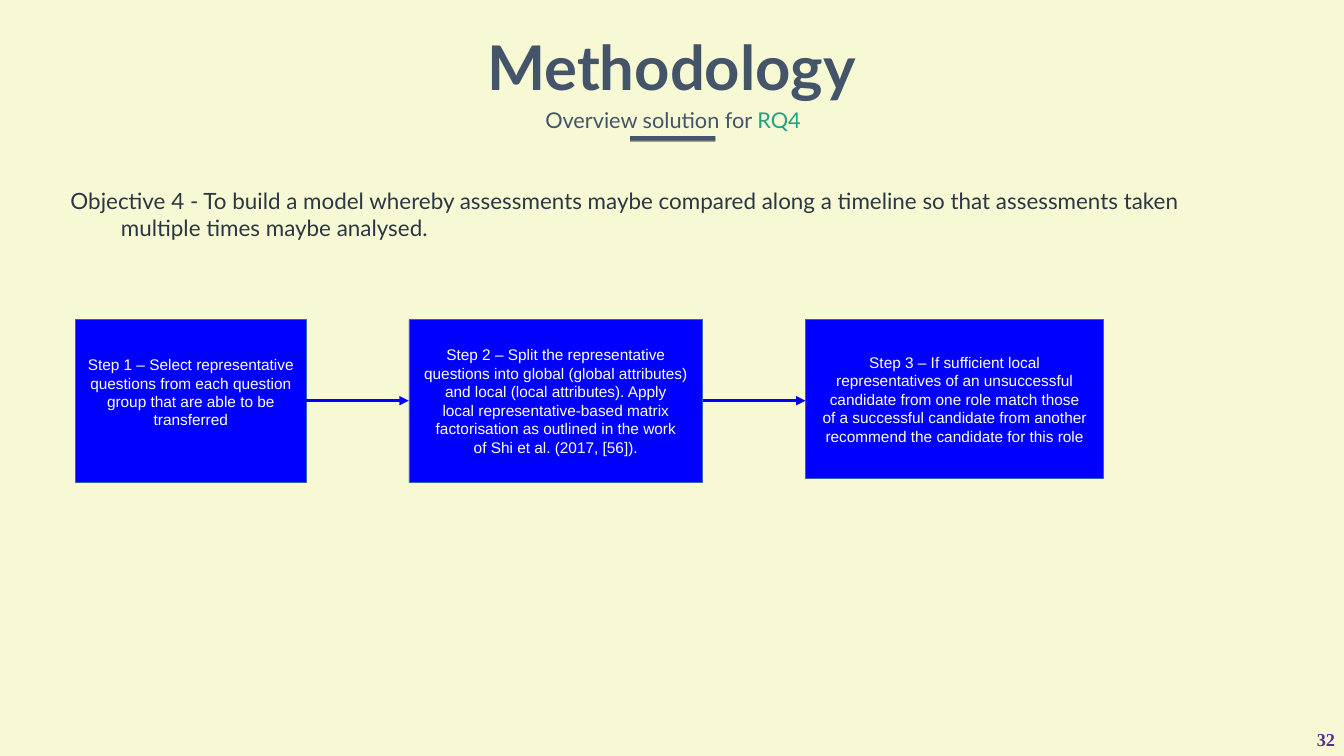
from dataclasses import dataclass

from lxml.etree import SubElement
from pptx import Presentation
from pptx.dml.color import RGBColor as RGB
from pptx.enum.shapes import MSO_CONNECTOR as CONN, MSO_SHAPE as SHAPE
from pptx.enum.text import MSO_ANCHOR as ANCHOR, PP_ALIGN as ALIGN
from pptx.oxml.ns import qn
from pptx.util import Inches, Pt


@dataclass(frozen=True)
class Theme:
    paper: str = "F6F9D4"
    slate: str = "445469"
    ink: str = "2C3645"
    green: str = "1EA185"
    purple: str = "55308D"
    blue: str = "0000FF"
    outline: str = "3465A4"
    white: str = "FFFFFF"
    sans: str = "Lato"
    box_font: str = "Arial"
    serif: str = "Times New Roman"
    title: int = 88
    subtitle: int = 31
    body: int = 32
    step: int = 22
    number: int = 26


class Deck:
    def __init__(self, theme, width, height):
        self.t = theme
        self.prs = Presentation()
        self.prs.slide_width, self.prs.slide_height = Inches(width), Inches(height)
        self.s = self.prs.slides.add_slide(self.prs.slide_layouts[6])
        fill = self.s.background.fill
        fill.solid()
        fill.fore_color.rgb = RGB.from_string(theme.paper)

    def style(self, p, size, font, color, bold=False, align=ALIGN.LEFT):
        p.alignment = align
        p.font.size, p.font.name, p.font.bold = Pt(size), font, bold
        p.font.color.rgb = RGB.from_string(color)

    def text(self, box, runs, size, font, color, **look):
        """Add a one-paragraph text box; runs are (text, colour or None)."""
        sp = self.s.shapes.add_textbox(*map(Inches, box))
        tf = sp.text_frame
        tf.word_wrap = True
        p = tf.paragraphs[0]
        self.style(p, size, font, color, **look)
        for words, accent in runs:
            r = p.add_run()
            r.text = words
            if accent:
                r.font.color.rgb = RGB.from_string(accent)
        return tf

    def rect(self, box, fill, line=None):
        sp = self.s.shapes.add_shape(SHAPE.RECTANGLE, *map(Inches, box))
        sp.shadow.inherit = False
        sp.fill.solid()
        sp.fill.fore_color.rgb = RGB.from_string(fill)
        if line:
            sp.line.color.rgb = RGB.from_string(line)
            sp.line.width = Pt(0.75)
        else:
            sp.line.fill.background()
        return sp

    def rule(self, box):
        """Add a bar with a soft shadow below it."""
        sp = self.rect(box, self.t.slate)
        effects = sp._element.spPr.find(qn("a:effectLst"))
        shadow = SubElement(effects, qn("a:outerShdw"), dist=str(Pt(1.8)), dir="5400000")
        black = SubElement(shadow, qn("a:srgbClr"), val="000000")
        SubElement(black, qn("a:alpha"), val="35000")

    def step(self, box, words, bottom):
        sp = self.rect(box, self.t.blue, self.t.outline)
        tf = sp.text_frame
        tf.word_wrap = False
        tf.vertical_anchor = ANCHOR.MIDDLE
        tf.margin_bottom = Inches(bottom)
        tf.text = words
        for p in tf.paragraphs:
            self.style(p, self.t.step, self.t.box_font, self.t.white, align=ALIGN.CENTER)
        return sp

    def arrow(self, x1, x2, y):
        c = self.s.shapes.add_connector(CONN.STRAIGHT, *map(Inches, (x1, y, x2, y)))
        c.line.color.rgb = RGB.from_string(self.t.blue)
        c.line.width = Pt(4.5)
        SubElement(c.line._get_or_add_ln(), qn("a:tailEnd"), type="triangle")
        SubElement(c._element.spPr, qn("a:effectLst"))


# (left, width, height, bottom inset, words)
STEPS = [
    (1.5, 4.57, 3.23, 0.4,
     "Step 1 – Select representative\vquestions from each question\n"
     "group that are able to be\ntransferred"),
    (8.11, 5.83, 3.23, 0.05,
     "Step 2 – Split the representative\vquestions into global (global attributes)\n"
     "and local (local attributes). Apply\nlocal representative-based matrix\n"
     "factorisation as outlined in the work\nof Shi et al. (2017, [56])."),
    (15.98, 5.91, 3.15, 0.05,
     "Step 3 – If sufficient local\nrepresentatives of an unsuccessful\n"
     "candidate from one role match those\nof a successful candidate from another\n"
     "recommend the candidate for this role"),
]
STEP_TOP, ARROW_Y = 6.34, 7.95


def main():
    t = Theme()
    deck = Deck(t, 26.66, 15)

    # Page number
    deck.text((24.74, 14.41, 1.84, 0.5), [("32", None)], t.number, t.serif, t.purple,
              bold=True, align=ALIGN.RIGHT)

    # Heading
    deck.text((1.87, 0.53, 22.9, 1.56), [("Methodology", None)], t.title, t.sans, t.slate,
              bold=True, align=ALIGN.CENTER)
    deck.rule((12.5, 2.7, 1.69, 0.09))
    tf = deck.text((6.98, 1.89, 12.74, 0.91),
                   [("Overview solution for ", None), ("RQ4", t.green)],
                   t.subtitle, t.sans, t.slate, align=ALIGN.CENTER)
    tf.margin_left = tf.margin_right = Inches(0.24)
    tf.margin_top = tf.margin_bottom = Inches(0.12)
    p = tf.paragraphs[0]
    p.line_spacing, p.space_before = 1.2, Pt(6.2)

    # Objective, with a hanging indent
    tf = deck.text((1.3, 3.66, 23.31, 0.49),
                   [("Objective 4 - To build a model whereby assessments maybe compared along "
                     "a timeline so that assessments taken multiple times maybe analysed.", None)],
                   t.body, t.sans, t.ink)
    pPr = tf.paragraphs[0]._p.get_or_add_pPr()
    pPr.set("marL", str(Inches(1)))
    pPr.set("indent", str(-Inches(1)))

    # Steps
    for left, width, height, bottom, words in STEPS:
        deck.step((left, STEP_TOP, width, height), words, bottom)

    # Arrows from each step to the next
    for (left, width, *_), (target, *_) in zip(STEPS, STEPS[1:]):
        deck.arrow(left + width, target, ARROW_Y)

    deck.prs.save("out.pptx")


if __name__ == "__main__":
    main()
